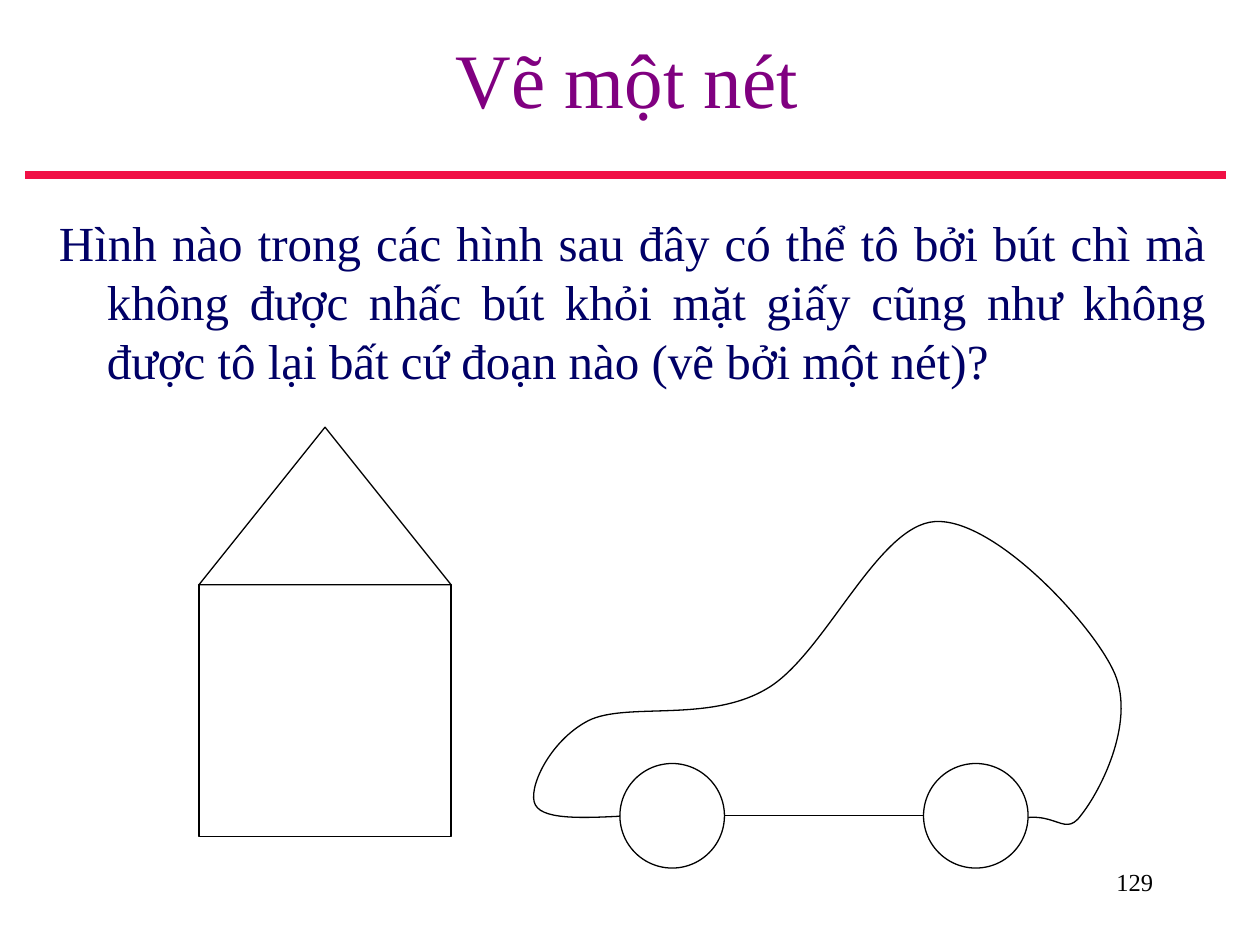
import pptx
import pptx.dml.color
import pptx.enum.shapes
import pptx.enum.text
import pptx.oxml.ns
import pptx.oxml.xmlchemy
import pptx.util

Inches, Pt = pptx.util.Inches, pptx.util.Pt
KIND = pptx.enum.shapes.MSO_SHAPE
ALIGN = pptx.enum.text.PP_ALIGN
ANCHOR = pptx.enum.text.MSO_ANCHOR
qn = pptx.oxml.ns.qn
make = pptx.oxml.xmlchemy.OxmlElement

# Content
FONT = "Times New Roman"
COLORS = {"title": "800080", "body": "000066", "rule": "F01045",
          "ink": "000000", "paper": "FFFFFF"}
TITLE = "Vẽ một nét"
BODY = ("Hình nào trong các hình sau đây có thể tô bởi bút chì mà không được "
        "nhấc bút khỏi mặt giấy cũng như không được tô lại bất cứ đoạn nào "
        "(vẽ bởi một nét)?")
NUMBER = "129"

# House: left, wall top, side and roof height
LEFT, TOP, SIDE, ROOF = 1.58, 4.64, 2, 1.25

# Car: wheels, axle and the Bezier points of the body (a start, then threes)
WHEEL, WHEEL_TOP, WHEELS = 0.83, 6.06, (7.33, 4.92)
AXLE = (5.58, 6.47, 7.42, 6.47)
CURVE = [
    (5.08, 6.47),
    (4.70, 6.49), (4.32, 6.52), (4.25, 6.39),
    (4.18, 6.27), (4.36, 5.88), (4.67, 5.72),
    (4.97, 5.57), (5.62, 5.74), (6.08, 5.47),
    (6.54, 5.21), (6.96, 4.17), (7.42, 4.14),
    (7.88, 4.11), (8.64, 4.92), (8.83, 5.31),
    (9.03, 5.70), (8.74, 6.27), (8.58, 6.47),
    (8.43, 6.68), (8.36, 6.35), (7.92, 6.56),
]

deck = pptx.Presentation()
deck.slide_width, deck.slide_height = Inches(10), Inches(7.5)
slide = deck.slides.add_slide(deck.slide_layouts[6])
shapes = slide.shapes


def color(name):
    return pptx.dml.color.RGBColor.from_string(COLORS[name])


def write(text, box, size, ink, align, anchor=ANCHOR.TOP):
    frame = shapes.add_textbox(*map(Inches, box)).text_frame
    frame.word_wrap = True
    frame.vertical_anchor = anchor
    para = frame.paragraphs[0]
    para.text, para.alignment = text, align
    para.font.name, para.font.size = FONT, Pt(size)
    para.font.color.rgb = color(ink)
    return frame


def line(ends, ink="ink", width=0.75):
    link = shapes.add_connector(
        pptx.enum.shapes.MSO_CONNECTOR.STRAIGHT, *map(Inches, ends))
    link.line.color.rgb, link.line.width = color(ink), Pt(width)
    link._element.spPr.append(make("a:effectLst"))


def style(shape, fill=None):
    shape.shadow.inherit = False
    if fill:
        shape.fill.solid()
        shape.fill.fore_color.rgb = color(fill)
    else:
        shape.fill.background()
    shape.line.color.rgb, shape.line.width = color("ink"), Pt(0.75)


def draw(kind, box, fill=None):
    style(shapes.add_shape(kind, *map(Inches, box)), fill)


def curve(points):
    spots = [(Inches(x), Inches(y)) for x, y in points]
    build = shapes.build_freeform(*spots[0])
    build.add_line_segments(spots[1:], close=False)
    shape = build.convert_to_shape()
    # Turn each three straight steps into one cubic curve
    steps = list(shape._element.iter(qn("a:lnTo")))
    for i in range(0, len(steps), 3):
        bend = make("a:cubicBezTo")
        steps[i].addprevious(bend)
        for step in steps[i:i + 3]:
            bend.append(step[0])
            step.getparent().remove(step)
    style(shape)


# Rule and text
line((0.2, 1.39, 9.73, 1.39), "rule", 4.5)
write(NUMBER, (7.17, 6.83, 2.08, 0.5), 14, "ink", ALIGN.RIGHT)
write(TITLE, (0.2, 0, 9.55, 1.23), 44, "title", ALIGN.CENTER, ANCHOR.MIDDLE)
body = write(BODY, (0.37, 1.58, 9.3, 4.5), 28, "body", ALIGN.JUSTIFY)
body.margin_top = Inches(0.11)
props = body.paragraphs[0]._p.get_or_add_pPr()
props.set("marL", str(Inches(0.38)))
props.set("indent", str(-Inches(0.38)))

# House
draw(KIND.RECTANGLE, (LEFT, TOP, SIDE, SIDE))
draw(KIND.ISOSCELES_TRIANGLE, (LEFT, TOP - ROOF, SIDE, ROOF))

# Car, with the wheels over the line ends
curve(CURVE)
line(AXLE)
for x in WHEELS:
    draw(KIND.OVAL, (x, WHEEL_TOP, WHEEL, WHEEL), "paper")

deck.save("out.pptx")
